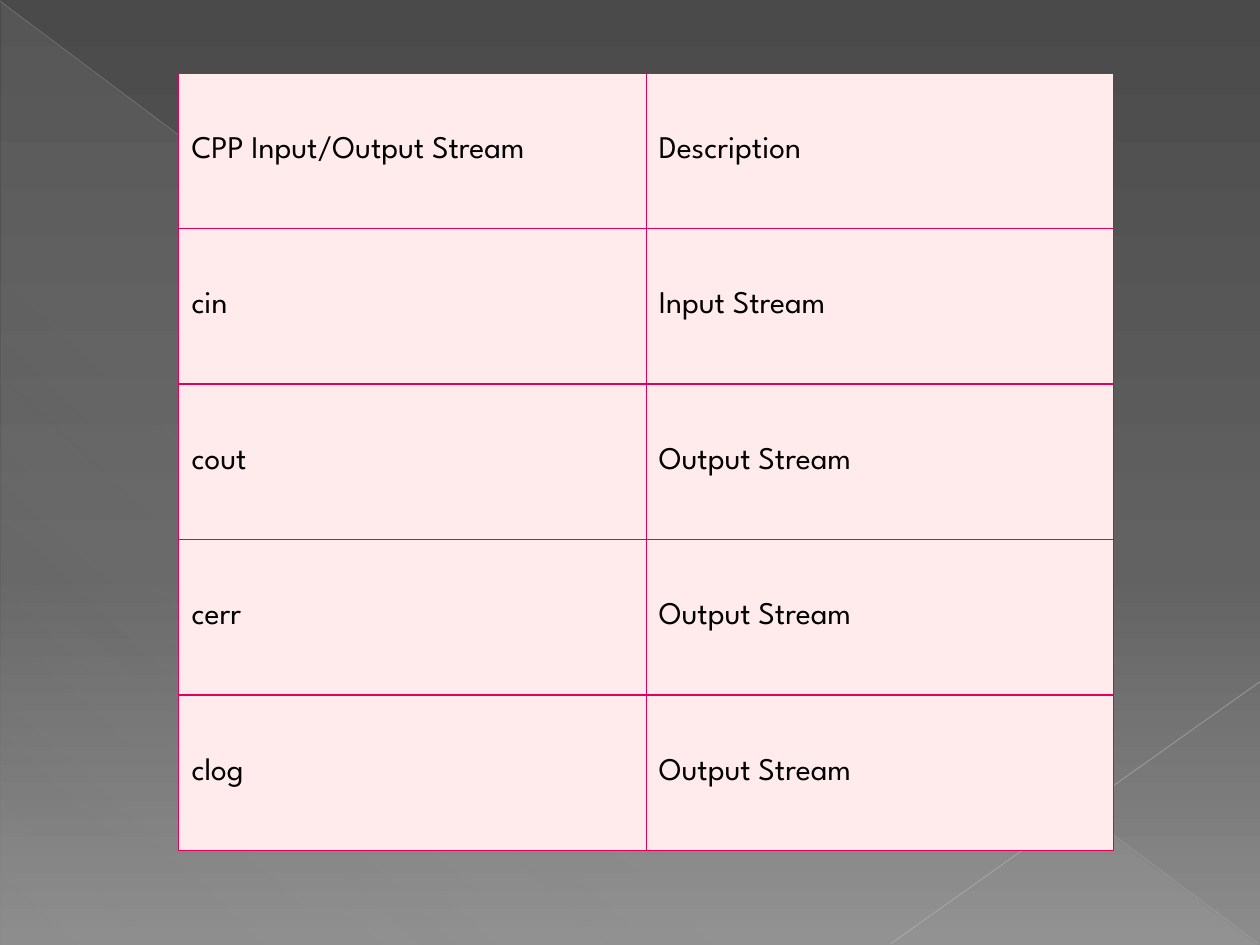
from lxml import etree
from pptx import Presentation
from pptx import util as u
from pptx.dml.color import RGBColor
from pptx.enum import shapes, text
from pptx.oxml import parse_xml
from pptx.oxml.ns import nsdecls, qn

BLACK = RGBColor(0x00, 0x00, 0x00)
PINK = RGBColor(0xFF, 0xEA, 0xEC)
CRIMSON = RGBColor(0xE4, 0x00, 0x59)
DARK_GREY = RGBColor(0x4A, 0x4A, 0x4A)
MID_GREY = RGBColor(0x62, 0x62, 0x62)
PALE_GREY = RGBColor(0x8C, 0x8C, 0x8C)
GLOSS = RGBColor(0xD2, 0xD2, 0xD2)
LONG_LINE = RGBColor(0xBF, 0xBF, 0xBF)
SHORT_LINE = RGBColor(0xC6, 0xC6, 0xC6)
FONT = "League Spartan"

STREAMS = [
    ("CPP Input/Output Stream", "Description"),
    ("cin", "Input Stream"),
    ("cout", "Output Stream"),
    ("cerr", "Output Stream"),
    ("clog", "Output Stream"),
]


def set_gradient(fill_parent, stops, angle):
    """Replace a solid fill by (position %, colour, opacity %) stops."""
    stop_xml = "".join(
        f'<a:gs pos="{position * 1000}"><a:srgbClr val="{colour}">'
        f'<a:alpha val="{opacity * 1000}"/></a:srgbClr></a:gs>'
        for position, colour, opacity in stops)
    gradient = parse_xml(
        f'<a:gradFill {nsdecls("a")} rotWithShape="1"><a:gsLst>{stop_xml}</a:gsLst>'
        f'<a:lin ang="{angle * 60000}" scaled="0"/></a:gradFill>')
    solid = fill_parent.find(qn("a:solidFill"))
    fill_parent.replace(solid, gradient)


deck = Presentation()
deck.slide_width, deck.slide_height = u.Inches(10), u.Inches(7.5)
page = deck.slides.add_slide(deck.slide_layouts[6])

# Background
page.background.fill.solid()
background = page.background._cSld.find(qn("p:bg")).find(qn("p:bgPr"))
set_gradient(background, [(0, DARK_GREY, 100), (60, MID_GREY, 100),
                          (100, PALE_GREY, 100)], 90)

triangle = page.shapes.add_shape(
    shapes.MSO_SHAPE.RIGHT_TRIANGLE,
    u.Inches(0.01), u.Inches(0.02), u.Inches(9.98), u.Inches(7.48))
triangle.shadow.inherit = False
triangle.line.fill.background()
triangle.fill.solid()
set_gradient(triangle._element.spPr,
             [(0, GLOSS, 10), (70, GLOSS, 8), (100, GLOSS, 1)], 133)

for x1, y1, x2, y2, colour, width, opacity in [
        (0, 0.01, 9.99, 7.49, LONG_LINE, 0.39, 35),
        (10, 5.41, 7.07, 7.49, SHORT_LINE, 0.47, 45)]:
    line = page.shapes.add_connector(
        shapes.MSO_CONNECTOR.STRAIGHT,
        u.Inches(x1), u.Inches(y1), u.Inches(x2), u.Inches(y2))
    line.line.color.rgb = colour
    line.line.width = u.Pt(width)
    properties = line._element.spPr
    etree.SubElement(properties, qn("a:effectLst"))
    colour_node = next(properties.iter(qn("a:srgbClr")))
    etree.SubElement(colour_node, qn("a:alpha"), val=str(opacity * 1000))

# Stream table
frame = page.shapes.add_table(
    len(STREAMS), 2, u.Inches(1.42), u.Inches(0.58), u.Inches(7.42), u.Inches(6.17))
table = frame.table
table.first_row = table.horz_banding = False

for row, labels in enumerate(STREAMS):
    for column, label in enumerate(labels):
        cell = table.cell(row, column)
        cell.vertical_anchor = text.MSO_ANCHOR.MIDDLE
        cell.text_frame.text = label
        font = cell.text_frame.paragraphs[0].runs[0].font
        font.name, font.size, font.color.rgb = FONT, u.Pt(18), BLACK
        cell_properties = cell._tc.get_or_add_tcPr()
        for side in ("lnL", "lnR", "lnT", "lnB"):
            cell_properties.append(parse_xml(
                f'<a:{side} {nsdecls("a")} w="{u.Pt(0.75)}"><a:solidFill>'
                f'<a:srgbClr val="{CRIMSON}"/></a:solidFill></a:{side}>'))
        cell.fill.solid()
        cell.fill.fore_color.rgb = PINK

deck.save("out.pptx")
